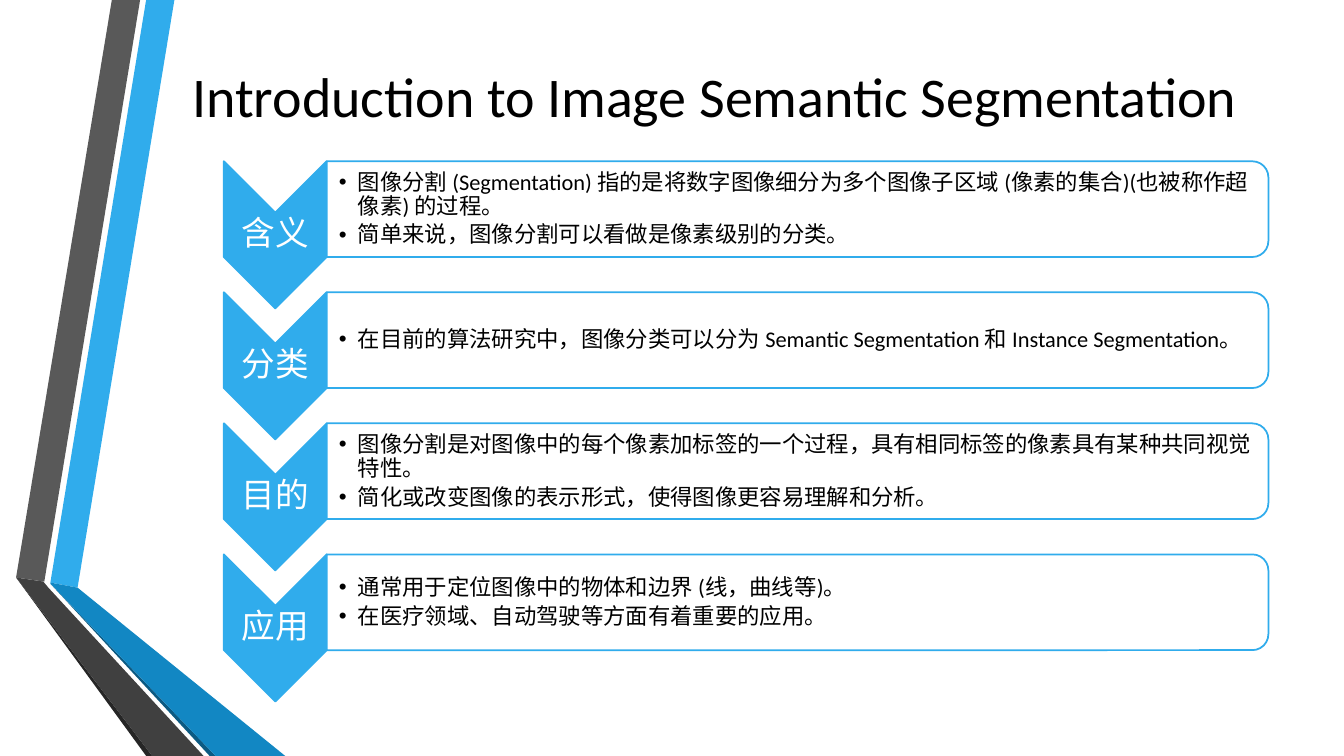
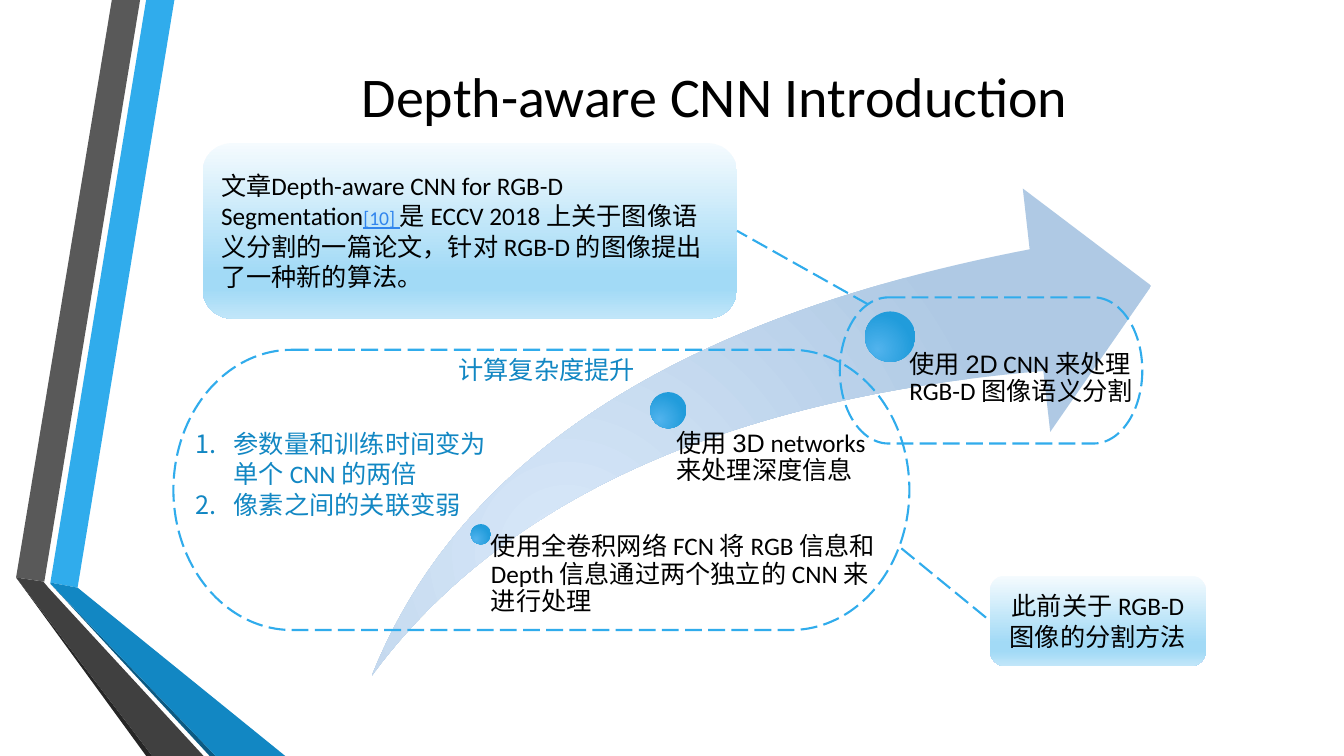
from dataclasses import dataclass

from lxml import etree
from pptx import Presentation
from pptx.dml.color import RGBColor
from pptx.enum.dml import MSO_LINE
from pptx.enum.shapes import MSO_CONNECTOR, MSO_SHAPE
from pptx.enum.text import MSO_ANCHOR, PP_ALIGN
from pptx.oxml.ns import qn
from pptx.util import Inches, Pt

LONG_DASH = MSO_LINE.LONG_DASH
STRAIGHT = MSO_CONNECTOR.STRAIGHT
CHEVRON = MSO_SHAPE.CHEVRON
ROUND_TAB = MSO_SHAPE.ROUND_2_SAME_RECTANGLE
ROUND_BOX = MSO_SHAPE.ROUNDED_RECTANGLE
TERMINATOR = MSO_SHAPE.FLOWCHART_TERMINATOR
SWOOSH = MSO_SHAPE.SWOOSH_ARROW
ELLIPSE = MSO_SHAPE.OVAL
MIDDLE, TOP = MSO_ANCHOR.MIDDLE, MSO_ANCHOR.TOP
LEFT, CENTER = PP_ALIGN.LEFT, PP_ALIGN.CENTER
SIDE_LEFT, SIDE_RIGHT = 1, 3


@dataclass(frozen=True)
class Theme:
    font: str = "Calibri"
    digit_font: str = "Arial"
    text: str = "000000"
    white: str = "FFFFFF"
    accent: str = "30ACEC"
    accent_dark: str = "1287C3"
    link: str = "3085ED"
    title_size: int = 40
    label_size: int = 24
    body_size: int = 18
    bullet_size: int = 16
    link_size: int = 14
    thin: float = 1.25
    dashed: float = 1.5
    swoosh: tuple = ((0, "D8E8F9"), (100, "AFC9E4"))
    dot: tuple = ((0, "51B3ED"), (100, "219CDB"))
    callout: tuple = ((0, "F5FBFE"), (74, "A2DAF6"), (83, "A2DAF6"), (100, "C1E6F9"))


THEME = Theme()
NO_INSETS = (0, 0, 0, 0)
DEFAULT_INSETS = (0.1, 0.05, 0.1, 0.05)

BANDS = (
    ("30ACEC", ((0.5, 5.78), (0.77, 5.83), (1.73, 0), (1.45, 0))),
    ("595959", ((1.39, 0), (1.11, 0), (0.16, 5.73), (0.44, 5.77))),
    ("262626", ((0.16, 5.73), (1.45, 7.5), (1.51, 7.5))),
    ("0C5A82", ((0.5, 5.79), (2.08, 7.5), (2.14, 7.5))),
    ("1287C3", ((0.5, 5.79), (2.14, 7.5), (2.83, 7.5), (0.77, 5.83), (0.5, 5.78))),
    ("404040", ((2.02, 7.5), (0.48, 5.83), (0.43, 5.77), (0.16, 5.73), (1.51, 7.5))),
)

TOPICS = (
    ("含义", ("图像分割 (Segmentation) 指的是将数字图像细分为多个图像子区域 (像素的集合)(也被称作超像素) 的过程。",
            "简单来说，图像分割可以看做是像素级别的分类。")),
    ("分类", ("在目前的算法研究中，图像分类可以分为 Semantic Segmentation 和 Instance Segmentation。",)),
    ("目的", ("图像分割是对图像中的每个像素加标签的一个过程，具有相同标签的像素具有某种共同视觉特性。",
            "简化或改变图像的表示形式，使得图像更容易理解和分析。")),
    ("应用", ("通常用于定位图像中的物体和边界 (线，曲线等)。",
            "在医疗领域、自动驾驶等方面有着重要的应用。")),
)

DIGITS = {"name": THEME.digit_font}
MILESTONES = (
    (0.98, 3.33, 0.2, (1.07, 3.43, 4.06, 1.4), 0.11,
     ("使用全卷积网络 FCN 将 RGB 信息和 Depth 信息通过两个独立的 CNN 来进行处理",)),
    (2.76, 2.02, 0.36, (2.83, 2.4, 2.32, 1.06), 0.19,
     ("使用 ", ("3D", DIGITS), " networks 来处理深度信息")),
    (4.89, 1.22, 0.5, (5.06, 1.62, 2.52, 1.78), 0.27,
     ("使用 ", ("2D", DIGITS), " CNN 来处理 RGB-D 图像语义分割")),
)

PAPER = (
    "文章Depth-aware CNN for RGB-D Segmentation",
    ("[10] ", {"size": THEME.link_size, "color": THEME.link, "underline": True}),
    "是 ECCV 2018 上关于图像语义分割的一篇论文，针对 RGB-D 的图像提出了一种新的算法。",
)


def style_font(font, size, color, name=THEME.font, underline=None):
    font.size = Pt(size)
    font.name = name
    font.color.rgb = RGBColor.from_string(color)
    font.underline = underline


def add_bullet(para, indent, tag, **attributes):
    properties = para._p.get_or_add_pPr()
    properties.set("marL", str(Inches(indent)))
    properties.set("indent", str(-Inches(indent)))
    if tag == "a:buChar":
        etree.SubElement(properties, qn("a:buFont"), typeface="Arial")
    etree.SubElement(properties, qn(tag), **attributes)


def write(shape, paragraphs, size, color=THEME.text, align=LEFT, anchor=TOP,
          insets=DEFAULT_INSETS, spacing=None, after=0, bullet=None, level=0, wrap=True):
    frame = shape.text_frame
    frame.word_wrap = wrap
    frame.vertical_anchor = anchor
    (frame.margin_left, frame.margin_top,
     frame.margin_right, frame.margin_bottom) = map(Inches, insets)
    for index, spans in enumerate(paragraphs):
        para = frame.add_paragraph() if index else frame.paragraphs[0]
        para.alignment = align
        para.level = level
        para.line_spacing = spacing
        para.space_after = Pt(after)
        if bullet:
            indent, tag, attributes = bullet
            add_bullet(para, indent, tag, **attributes)
        if len(spans) == 1:
            style_font(para.font, size, color)
        for item in spans:
            text, changes = (item, {}) if isinstance(item, str) else item
            span = para.add_run()
            span.text = text
            if len(spans) > 1:
                style_font(span.font, **{"size": size, "color": color, **changes})


def add_text(page, box, paragraphs, size, **options):
    shape = page.shapes.add_textbox(*map(Inches, box))
    write(shape, paragraphs, size, **options)


def set_line(shape, width, dash=None):
    shape.line.color.rgb = RGBColor.from_string(THEME.accent)
    shape.line.width = Pt(width)
    if dash:
        shape.line.dash_style = dash


def add_block(page, preset, box, fill=None):
    shape = page.shapes.add_shape(preset, *map(Inches, box))
    shape.shadow.inherit = False
    shape.line.fill.background()
    if fill:
        shape.fill.solid()
        shape.fill.fore_color.rgb = RGBColor.from_string(fill)
    else:
        shape.fill.background()
    return shape


def add_turned(page, preset, box, fill):
    left, top, width, height = box
    turned = (left + (width - height) / 2, top + (height - width) / 2, height, width)
    shape = add_block(page, preset, turned, fill)
    shape.rotation = 90
    set_line(shape, THEME.thin)


def set_gradient(shape, stops, radial):
    shape.fill.gradient()
    gradient = shape.element.spPr.find(qn("a:gradFill"))
    for child in list(gradient):
        gradient.remove(child)
    stop_list = etree.SubElement(gradient, qn("a:gsLst"))
    for position, color in stops:
        stop = etree.SubElement(stop_list, qn("a:gs"), pos=str(position * 1000))
        etree.SubElement(stop, qn("a:srgbClr"), val=color)
    if radial:
        circle = etree.SubElement(gradient, qn("a:path"), path="circle")
        etree.SubElement(circle, qn("a:fillToRect"),
                         l="50000", t="100000", r="100000", b="50000")
    else:
        etree.SubElement(gradient, qn("a:lin"), ang="5400000", scaled="0")


def add_gradient_block(page, preset, box, stops, radial=True):
    shape = add_block(page, preset, box)
    set_gradient(shape, stops, radial)
    return shape


def add_callout(page, box, spans, align):
    shape = add_gradient_block(page, ROUND_BOX, box, THEME.callout, radial=False)
    write(shape, (spans,), THEME.body_size, align=align, anchor=MIDDLE)
    return shape


def add_dashed_frame(page, box):
    set_line(add_block(page, TERMINATOR, box), THEME.dashed, LONG_DASH)


def add_dashed_link(page, start, callout, side):
    ends = [Inches(value) for value in start]
    link = page.shapes.add_connector(STRAIGHT, *ends, *ends)
    link.end_connect(callout, side)
    set_line(link, THEME.dashed, LONG_DASH)
    etree.SubElement(link.element.spPr, qn("a:effectLst"))


def add_bands(page, layout):
    for index, (color, points) in enumerate(BANDS):
        corners = [(Inches(x), Inches(y)) for x, y in points]
        builder = page.shapes.build_freeform(*corners[0])
        builder.add_line_segments(corners[1:], close=True)
        band = builder.convert_to_shape()
        band.shadow.inherit = False
        band.line.fill.background()
        band.fill.solid()
        band.fill.fore_color.rgb = RGBColor.from_string(color)
        band.element.nvSpPr.cNvPr.id = 20 + index
        layout.shapes.element.append(band.element)


def add_page(deck, layout, title):
    page = deck.slides.add_slide(layout)
    heading = page.shapes.title
    heading.left, heading.top = Inches(1.72), Inches(0.47)
    heading.width, heading.height = Inches(10.86), Inches(0.95)
    write(heading, ((title,),), THEME.title_size, align=CENTER, anchor=MIDDLE)
    return page


def add_topic_row(page, box, label, points):
    left, top, width, height = box
    chevron_width, chevron_height = 1.02, 1.46
    body_left = left + chevron_width
    add_turned(page, CHEVRON, (left, top, chevron_width, chevron_height), THEME.accent)
    add_text(page, (left, top + 0.51, chevron_width, 0.44), ((label,),), THEME.label_size,
             color=THEME.white, align=CENTER, anchor=MIDDLE, insets=(0.02,) * 4, spacing=0.9)
    add_turned(page, ROUND_TAB, (body_left, top, width - chevron_width, height), THEME.white)
    add_text(page, (body_left, top + 0.05, 9.29, height - 0.09),
             [(point,) for point in points], THEME.bullet_size, anchor=MIDDLE,
             insets=(0.12, 0.01, 0.01, 0.01), spacing=0.9, after=2.8, level=1,
             bullet=(0.19, "a:buChar", {"char": "•"}))


def add_topic_list(page, box, step):
    left, top, width, height = box
    for index, (label, points) in enumerate(TOPICS):
        add_topic_row(page, (left, top + index * step, width, height), label, points)


def add_swoosh_timeline(page, box):
    left, top = box[:2]
    arrow = add_gradient_block(page, SWOOSH, box, THEME.swoosh)
    arrow.adjustments[0] = arrow.adjustments[1] = 0.25
    for dot_x, dot_y, size, (x, y, width, height), inset, spans in MILESTONES:
        add_gradient_block(page, ELLIPSE, (left + dot_x, top + dot_y, size, size), THEME.dot)
        add_text(page, (left + x, top + y, width, height), (spans,), THEME.body_size,
                 insets=(inset, *NO_INSETS[1:]), spacing=0.9)


def add_earlier_methods(page, box):
    left, top = box[:2]
    add_text(page, (left + 0.12, top + 0.73, 3.19, 1.01),
             (("参数量和训练时间变为单个 CNN 的两倍",), ("像素之间的关联变弱",)),
             THEME.body_size, color=THEME.accent_dark,
             bullet=(0.38, "a:buAutoNum", {"type": "arabicPeriod"}))
    add_text(page, (left + 2.73, top, 1.97, 0.4), (("计算复杂度提升",),),
             THEME.body_size, color=THEME.accent_dark, wrap=False)
    add_dashed_frame(page, box)


def main():
    deck = Presentation()
    deck.slide_width, deck.slide_height = Inches(13.33), Inches(7.5)
    layout = deck.slide_layouts[5]

    page = add_page(deck, layout, "Introduction to Image Semantic Segmentation ")
    add_bands(page, layout)
    add_topic_list(page, (2.22, 1.6, 10.36, 0.95), 1.3)

    page = add_page(deck, layout, "Depth-aware CNN Introduction ")
    add_swoosh_timeline(page, (3.69, 1.87, 7.73, 4.83))
    add_earlier_methods(page, (1.72, 3.47, 7.3, 2.78))
    earlier = add_callout(page, (9.82, 5.71, 2.14, 0.9), ("此前关于 RGB-D 图像的分割方法",), CENTER)
    paper = add_callout(page, (2.01, 1.42, 5.3, 1.74), PAPER, LEFT)
    add_dashed_frame(page, (8.33, 2.95, 3, 1.45))
    add_dashed_link(page, (8.94, 5.44), earlier, SIDE_LEFT)
    add_dashed_link(page, (8.61, 3.02), paper, SIDE_RIGHT)

    deck.save("out.pptx")


if __name__ == "__main__":
    main()
